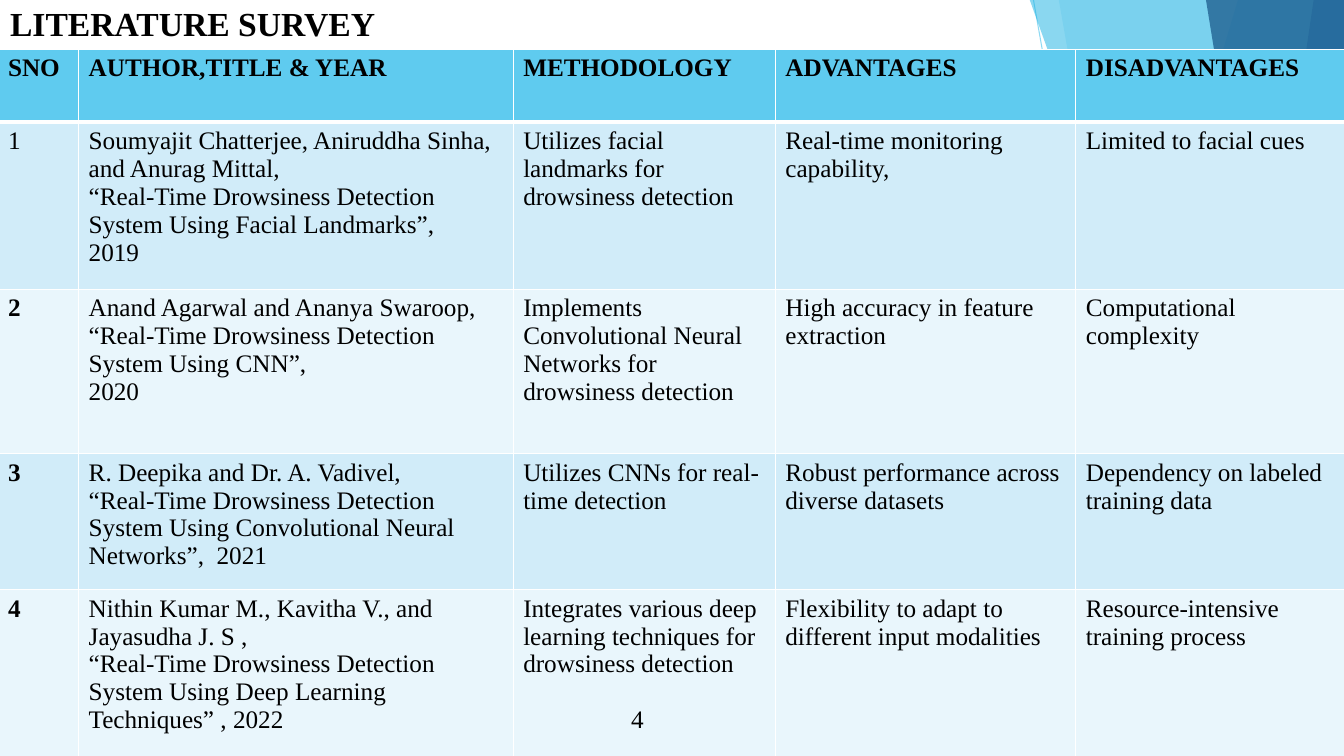
from dataclasses import dataclass

import pptx
import pptx.dml.color
import pptx.enum.shapes
import pptx.enum.text
import pptx.oxml
import pptx.oxml.ns
import pptx.presentation
import pptx.slide
import pptx.table
import pptx.text.text
import pptx.util
from pptx.util import Inches


@dataclass(frozen=True)
class Theme:
    font: str = "Times New Roman"
    title_size: int = 24
    table_size: int = 18
    ink: str = "000000"
    border: str = "FFFFFF"
    header: str = "5FCBEF"
    bands: tuple[str, str] = ("D1ECF9", "E9F6FC")
    sky: str = "5FCBEF"
    azure: str = "16B0E3"
    blue: str = "2E83C3"
    navy: str = "226292"


@dataclass(frozen=True)
class Facet:
    top_x: float
    bottom_x: float
    color: str
    opacity: int


@dataclass(frozen=True)
class Study:
    authors: str
    title: tuple[str, ...]
    methodology: str
    advantages: str
    disadvantages: str


THEME = Theme()
WIDTH, HEIGHT = 13.33, 7.5
COLUMN_WIDTHS = (0.8, 4.31, 2.6, 2.98, 2.67)
ROW_HEIGHTS = (0.72, 1.66, 1.63, 1.35, 1.66)
HEADINGS = ("SNO", "AUTHOR,TITLE & YEAR", "METHODOLOGY", "ADVANTAGES", "DISADVANTAGES")
PAGE_NUMBER = "4"

FACETS = (
    Facet(12.28, 10.04, THEME.sky, 36),
    Facet(10.5, 11.82, THEME.sky, 20),
    Facet(10.21, 12.91, THEME.azure, 50),
    Facet(13.03, 11.92, THEME.blue, 70),
    Facet(11.96, 13.18, THEME.navy, 80),
)

STUDIES = (
    Study(
        "Soumyajit Chatterjee, Aniruddha Sinha, and Anurag Mittal,",
        ("“Real-Time Drowsiness Detection System Using Facial Landmarks”,", "2019"),
        "Utilizes facial landmarks for drowsiness detection",
        "Real-time monitoring capability,",
        "Limited to facial cues",
    ),
    Study(
        "Anand Agarwal and Ananya Swaroop,",
        ("“Real-Time Drowsiness Detection System Using CNN”,", "2020"),
        "Implements Convolutional Neural Networks for drowsiness detection",
        "High accuracy in feature extraction",
        "Computational complexity",
    ),
    Study(
        "R. Deepika and Dr. A. Vadivel,",
        ("“Real-Time Drowsiness Detection System Using Convolutional Neural Networks”,  2021",),
        "Utilizes CNNs for real-time detection",
        "Robust performance across diverse datasets",
        "Dependency on labeled training data",
    ),
    Study(
        "Nithin Kumar M., Kavitha V., and Jayasudha J. S ,",
        ("“Real-Time Drowsiness Detection System Using Deep Learning Techniques” , 2022",),
        "Integrates various deep learning techniques for drowsiness detection",
        "Flexibility to adapt to different input modalities",
        "Resource-intensive training process",
    ),
)


def rgb(color: str) -> pptx.dml.color.RGBColor:
    return pptx.dml.color.RGBColor.from_string(color)


def set_opacity(shape, percent: int) -> None:
    for color in shape.element.xpath(".//a:srgbClr"):
        alpha = pptx.oxml.parse_xml(
            f'<a:alpha {pptx.oxml.ns.nsdecls("a")} val="{percent * 1000}"/>'
        )
        color.append(alpha)


def style_paragraph(para: pptx.text.text._Paragraph, size: int, bold: bool) -> None:
    para.alignment = pptx.enum.text.PP_ALIGN.LEFT
    para.font.name = THEME.font
    para.font.size = pptx.util.Pt(size)
    para.font.bold = bold
    para.font.color.rgb = rgb(THEME.ink)


def draw_facet(page: pptx.slide.Slide, facet: Facet) -> None:
    builder = page.shapes.build_freeform(Inches(facet.top_x), Inches(-0.01))
    corners = ((WIDTH, -0.01), (WIDTH, HEIGHT), (facet.bottom_x, HEIGHT))
    builder.add_line_segments([(Inches(x), Inches(y)) for x, y in corners])
    shape = builder.convert_to_shape()
    shape.shadow.inherit = False
    shape.fill.solid()
    shape.fill.fore_color.rgb = rgb(facet.color)
    shape.line.fill.background()
    set_opacity(shape, facet.opacity)


def draw_ray(page: pptx.slide.Slide) -> None:
    ray = page.shapes.add_connector(
        pptx.enum.shapes.MSO_CONNECTOR.STRAIGHT,
        Inches(10.25), Inches(0), Inches(11.58), Inches(HEIGHT),
    )
    ray.line.color.rgb = rgb(THEME.sky)
    ray.line.width = pptx.util.Pt(0.75)
    set_opacity(ray, 70)
    ray.element.spPr.append(
        pptx.oxml.parse_xml(f'<a:effectLst {pptx.oxml.ns.nsdecls("a")}/>')
    )


def draw_title(page: pptx.slide.Slide) -> None:
    title = page.shapes.title
    title.left, title.top = Inches(0), Inches(-0.07)
    title.width, title.height = Inches(9.87), Inches(0.21)
    frame = title.text_frame
    frame.text = "LITERATURE SURVEY"
    frame.word_wrap = True
    frame.auto_size = pptx.enum.text.MSO_AUTO_SIZE.NONE
    frame.vertical_anchor = pptx.enum.text.MSO_ANCHOR.TOP
    frame.margin_left = frame.margin_right = Inches(0.1)
    frame.margin_top = frame.margin_bottom = Inches(0.1)
    style_paragraph(frame.paragraphs[0], THEME.title_size, True)


def set_borders(cell: pptx.table._Cell, top: int, bottom: int) -> None:
    properties = cell._tc.get_or_add_tcPr()
    sides = (("lnL", 1), ("lnR", 1), ("lnT", top), ("lnB", bottom))
    for position, (side, points) in enumerate(sides):
        border = pptx.oxml.parse_xml(
            f'<a:{side} {pptx.oxml.ns.nsdecls("a")} w="{pptx.util.Pt(points)}">'
            f'<a:solidFill><a:srgbClr val="{THEME.border}"/></a:solidFill></a:{side}>'
        )
        properties.insert(position, border)


def fill_cell(cell: pptx.table._Cell, lines: tuple[str, ...], color: str, bold: bool) -> None:
    cell.fill.solid()
    cell.fill.fore_color.rgb = rgb(color)
    cell.text_frame.text = "\n".join(lines)
    for para in cell.text_frame.paragraphs:
        style_paragraph(para, THEME.table_size, bold)


def add_page_number(cell: pptx.table._Cell) -> None:
    para = cell.text_frame.add_paragraph()
    para.text = PAGE_NUMBER
    style_paragraph(para, THEME.table_size, False)
    para.space_before = pptx.util.Pt(20)
    para._p.get_or_add_pPr().set("marL", str(Inches(1.07)))


def draw_survey(page: pptx.slide.Slide) -> None:
    survey = page.shapes.add_table(
        len(ROW_HEIGHTS), len(COLUMN_WIDTHS),
        Inches(-0.02), Inches(0.49), Inches(13.35), Inches(7.01),
    ).table
    for column, width in zip(survey.columns, COLUMN_WIDTHS):
        column.width = Inches(width)
    for row, height in zip(survey.rows, ROW_HEIGHTS):
        row.height = Inches(height)

    rows = [tuple((heading,) for heading in HEADINGS)]
    for number, study in enumerate(STUDIES, 1):
        rows.append((
            (str(number),), (study.authors, *study.title), (study.methodology,),
            (study.advantages,), (study.disadvantages,),
        ))
    for r, row in enumerate(rows):
        color = THEME.bands[(r - 1) % 2] if r else THEME.header
        for c, lines in enumerate(row):
            cell = survey.cell(r, c)
            fill_cell(cell, lines, color, r == 0 or (c == 0 and r > 1))
            set_borders(cell, 3 if r == 1 else 1, 3 if r == 0 else 1)
    add_page_number(survey.cell(len(STUDIES), 2))


def main() -> None:
    deck = pptx.Presentation()
    deck.slide_width, deck.slide_height = Inches(WIDTH), Inches(HEIGHT)
    page = deck.slides.add_slide(deck.slide_layouts.get_by_name("Title Only"))
    draw_ray(page)
    for facet in FACETS:
        draw_facet(page, facet)
    draw_survey(page)
    draw_title(page)
    deck.save("out.pptx")


if __name__ == "__main__":
    main()
